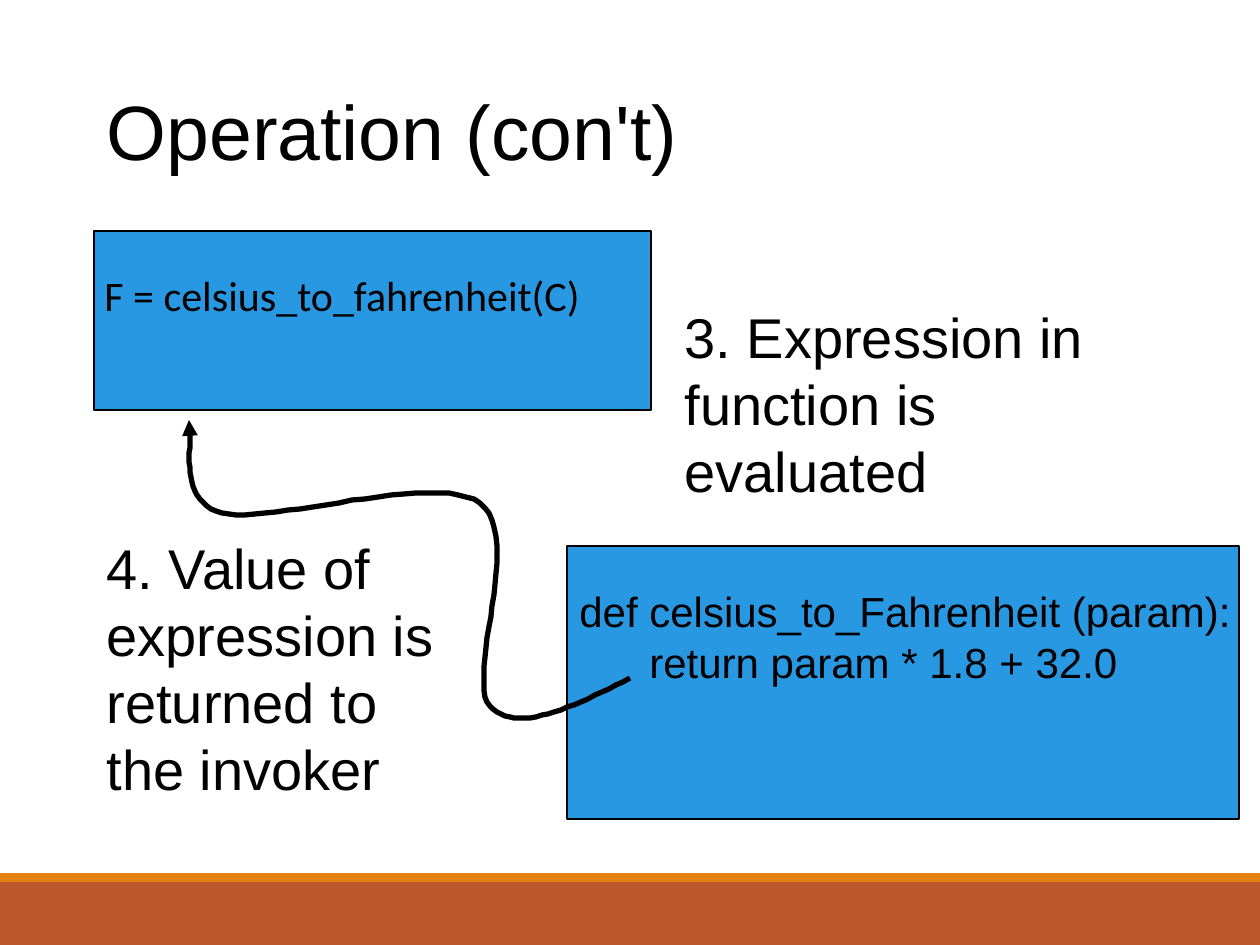
from dataclasses import dataclass

from lxml import etree
from pptx import Presentation, util as u
from pptx.dml.color import RGBColor
from pptx.enum import shapes, text
from pptx.oxml.ns import qn

PX = 914400 / 126
BLACK = RGBColor(0, 0, 0)
BLUE = RGBColor(0x29, 0x98, 0xE3)
RUST = RGBColor(0xBD, 0x58, 0x2C)
AMBER = RGBColor(0xE4, 0x83, 0x12)
STEPS = 24


@dataclass
class Box:
    """A place on the slide, in pixels."""
    left: int
    top: int
    width: int
    height: int

    def emu(self) -> list[u.Emu]:
        """Give the four lengths in EMU."""
        return [u.Emu(round(n * PX)) for n in
                (self.left, self.top, self.width, self.height)]


@dataclass
class Label:
    """Text lines with their box and look."""
    box: Box
    lines: list[str]
    size: int
    pitch: float
    font: str = "Arial"
    indent: int = 0


@dataclass
class Panel:
    """A filled rectangle, outlined or not."""
    box: Box
    fill: RGBColor
    edge: bool = False


BARS = [Panel(Box(0, 882, 1260, 63), RUST), Panel(Box(0, 873, 1260, 9), AMBER)]
CALLER = Panel(Box(94, 231, 557, 179), BLUE, True)
CALLEE = Panel(Box(567, 546, 672, 273), BLUE, True)

TITLE = Label(Box(94, 53, 1071, 158), ["Operation (con't)"], 44, 50.6)
NOTES = [
    Label(Box(672, 296, 514, 217),
          ["3. Expression in function is evaluated"], 32, 38.3),
    Label(Box(94, 527, 378, 281),
          ["4. Value of expression is returned to the invoker"], 32, 38.3),
]
CALL = Label(Box(92, 262, 550, 64), ["F = celsius_to_fahrenheit(C)"],
             24, 29.3, "Calibri")
BODY = Label(Box(567, 579, 683, 115),
             ["def celsius_to_Fahrenheit (param):",
              "return param * 1.8 + 32.0"], 24, 29.1, indent=70)

START = (630, 678)
CURVES = [
    ((573, 707), (515, 735), (490, 706)),
    ((465, 677), (524, 536), (480, 503)),
    ((435, 471), (270, 525), (222, 513)),
    ((174, 499), (195, 436), (189, 420)),
]


def add_panel(slide, panel: Panel) -> None:
    """Draw a rectangle."""
    shape = slide.shapes.add_shape(shapes.MSO_SHAPE.RECTANGLE,
                                   *panel.box.emu())
    shape.shadow.inherit = False
    shape.fill.solid()
    shape.fill.fore_color.rgb = panel.fill
    if panel.edge:
        shape.line.color.rgb = BLACK
        shape.line.width = u.Pt(0.75)
    else:
        shape.line.fill.background()


def write(shape, label: Label, anchor=text.MSO_ANCHOR.TOP) -> None:
    """Place a text shape and fill in its lines."""
    shape.left, shape.top, shape.width, shape.height = label.box.emu()
    frame = shape.text_frame
    frame.word_wrap = True
    frame.auto_size = text.MSO_AUTO_SIZE.NONE
    frame.vertical_anchor = anchor
    frame.text = "\n".join(label.lines)
    for row, para in enumerate(frame.paragraphs):
        para.alignment = text.PP_ALIGN.LEFT
        para.line_spacing = u.Pt(label.pitch)
        para.space_before = u.Pt(0)
        para.font.name = label.font
        para.font.size = u.Pt(label.size)
        para.font.color.rgb = BLACK
        props = para._p.get_or_add_pPr()
        props.set("marL", str(round(label.indent * PX) if row else 0))
        props.set("indent", "0")
        if shape.is_placeholder:
            mark = etree.Element(qn("a:buNone"))
            props.find(qn("a:defRPr")).addprevious(mark)


def add_code(slide, label: Label) -> None:
    """Add a text box of code."""
    write(slide.shapes.add_textbox(*label.box.emu()), label)


def bend(ends: tuple, part: float) -> tuple[float, float]:
    """Find a point on a cubic curve."""
    rest = 1 - part
    rates = (rest ** 3, 3 * rest ** 2 * part, 3 * rest * part ** 2, part ** 3)
    return (sum(r * p[0] for r, p in zip(rates, ends)),
            sum(r * p[1] for r, p in zip(rates, ends)))


def add_arrow(slide) -> None:
    """Draw the curved return arrow."""
    spots, last = [], START
    for curve in CURVES:
        spots += [bend((last, *curve), n / STEPS) for n in range(1, STEPS + 1)]
        last = curve[-1]
    path = slide.shapes.build_freeform(*START, scale=PX)
    path.add_line_segments(spots, close=False)
    arrow = path.convert_to_shape()
    arrow.shadow.inherit = False
    arrow.fill.background()
    arrow.line.color.rgb = BLACK
    arrow.line.width = u.Pt(3)
    etree.SubElement(arrow.line._get_or_add_ln(), qn("a:tailEnd"),
                     type="triangle")


def main() -> None:
    """Build the slide."""
    deck = Presentation()
    deck.slide_width, deck.slide_height = u.Inches(10), u.Inches(7.5)
    slide = deck.slides.add_slide(deck.slide_layouts.get_by_name("Two Content"))
    for bar in BARS:
        add_panel(slide, bar)
    write(slide.shapes.title, TITLE, text.MSO_ANCHOR.MIDDLE)
    for spot, note in enumerate(NOTES, 1):
        write(slide.placeholders[spot], note)
    for panel, code in ((CALLER, CALL), (CALLEE, BODY)):
        add_panel(slide, panel)
        add_code(slide, code)
    add_arrow(slide)
    deck.save("out.pptx")


main()
